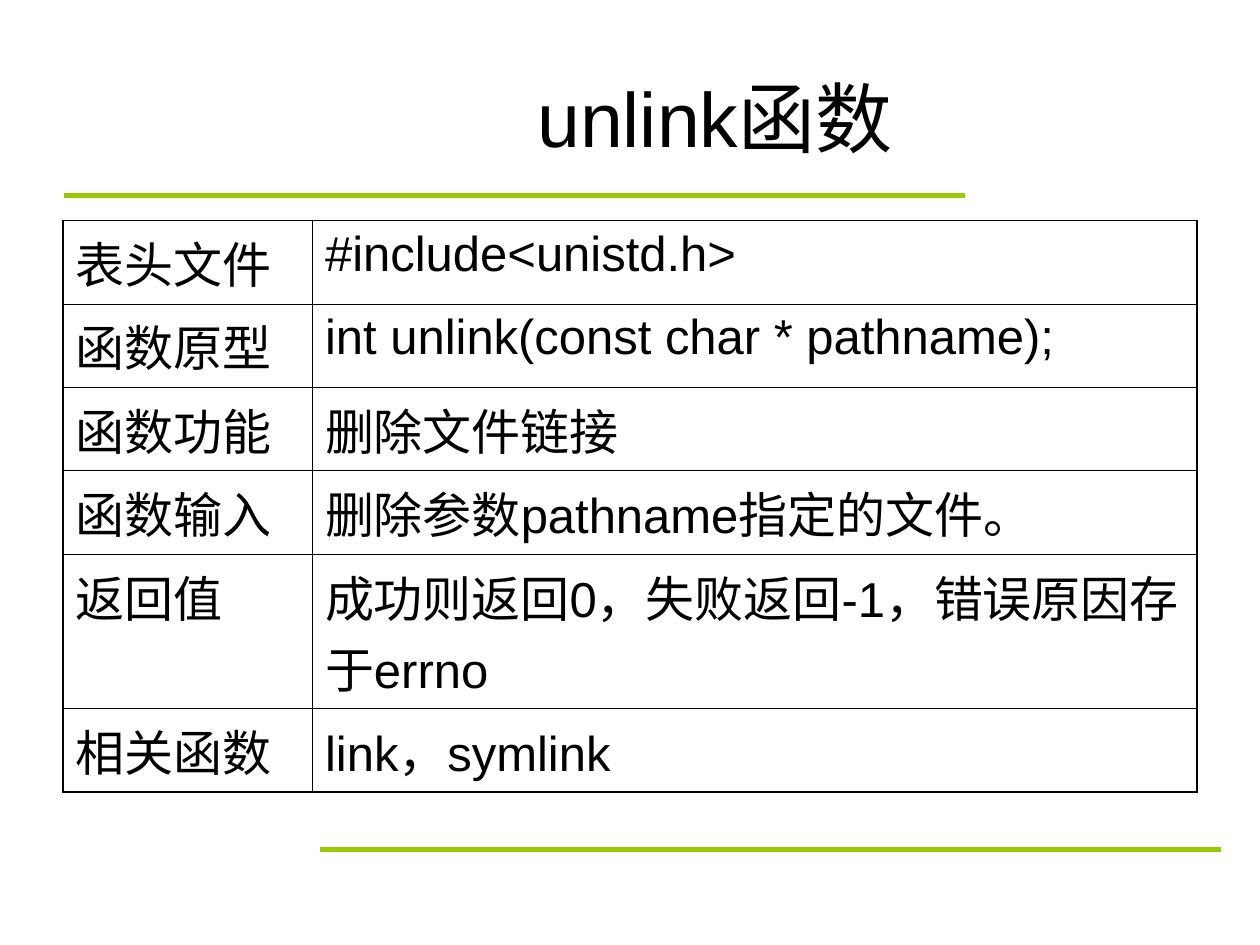
from lxml import etree
from pptx import Presentation
from pptx import util as u
from pptx.dml.color import RGBColor
from pptx.enum import shapes, text
from pptx.oxml import ns

BLACK = RGBColor(0x00, 0x00, 0x00)
WHITE = RGBColor(0xFF, 0xFF, 0xFF)
GREEN = RGBColor(0x99, 0xCC, 0x00)

THIN, THICK = u.Pt(0.45), u.Pt(1.08)

COLUMN_WIDTHS = [1.98, 7.02]
ROW_HEIGHTS = [0.66, 0.66, 0.66, 0.66, 1.21, 0.66]
ROWS = [
    ("表头文件", "#include<unistd.h>"),
    ("函数原型", "int unlink(const char * pathname);"),
    ("函数功能", "删除文件链接"),
    ("函数输入", "删除参数pathname指定的文件。"),
    ("返回值", "成功则返回0，失败返回-1，错误原因存于errno"),
    ("相关函数", "link，symlink"),
]


class SlideBuilder:
    """Holds the style and the current slide."""

    font_name = "Arial"
    title_size = u.Pt(44)
    body_size = u.Pt(28)

    def __init__(self, slide):
        self.slide = slide

    def style(self, paragraph, size):
        paragraph.font.name = self.font_name
        paragraph.font.size = size
        paragraph.font.color.rgb = BLACK

    def rule(self, left, top, width):
        start, end, height = u.Inches(left), u.Inches(left + width), u.Inches(top)
        line = self.slide.shapes.add_connector(
            shapes.MSO_CONNECTOR.STRAIGHT, start, height, end, height)
        line.line.color.rgb = GREEN
        line.line.width = u.Pt(3)
        etree.SubElement(line._element.spPr, ns.qn("a:effectLst"))

    def title(self, wording, left, top, width, height):
        shape = self.slide.shapes.title
        shape.left, shape.top = u.Inches(left), u.Inches(top)
        shape.width, shape.height = u.Inches(width), u.Inches(height)
        frame = shape.text_frame
        frame.text = wording
        frame.vertical_anchor = text.MSO_ANCHOR.MIDDLE
        paragraph = frame.paragraphs[0]
        paragraph.alignment = text.PP_ALIGN.CENTER
        self.style(paragraph, self.title_size)

    def border(self, cell, side, width):
        line = etree.SubElement(
            cell._tc.get_or_add_tcPr(), ns.qn(f"a:ln{side}"), w=str(int(width)))
        fill = etree.SubElement(line, ns.qn("a:solidFill"))
        etree.SubElement(fill, ns.qn("a:srgbClr"), val=str(BLACK))

    def cell(self, cell, wording, outer_sides):
        cell.text = wording
        cell.margin_left = cell.margin_right = u.Inches(0.1)
        cell.margin_top = cell.margin_bottom = u.Inches(0.05)
        paragraph = cell.text_frame.paragraphs[0]
        paragraph.space_before = u.Pt(7)
        self.style(paragraph, self.body_size)
        for side in "LRTB":
            self.border(cell, side, THICK if side in outer_sides else THIN)
        # The fill follows the borders in the cell's XML
        cell.fill.solid()
        cell.fill.fore_color.rgb = WHITE

    def table(self, rows, left, top, column_widths, row_heights):
        table = self.slide.shapes.add_table(
            len(rows), len(column_widths), u.Inches(left), u.Inches(top),
            u.Inches(sum(column_widths)), u.Inches(sum(row_heights))).table
        table.first_row = table.horz_banding = False
        for column, width in zip(table.columns, column_widths):
            column.width = u.Inches(width)
        for row, height in zip(table.rows, row_heights):
            row.height = u.Inches(height)
        for i, row in enumerate(rows):
            vertical = {0: "T", len(rows) - 1: "B"}.get(i, "")
            for j, wording in enumerate(row):
                horizontal = {0: "L", len(row) - 1: "R"}.get(j, "")
                self.cell(table.cell(i, j), wording, vertical + horizontal)


def main():
    presentation = Presentation()
    presentation.slide_width = u.Inches(10)
    presentation.slide_height = u.Inches(7.5)
    title_only = presentation.slide_layouts[5]
    builder = SlideBuilder(presentation.slides.add_slide(title_only))

    # Green rules above and below the table
    builder.rule(0.51, 1.55, 7.15)
    builder.rule(2.54, 6.74, 7.15)

    # Title
    builder.title("unlink函数", 1.85, 0.3, 7.65, 1.25)

    # Function reference table
    builder.table(ROWS, 0.5, 1.75, COLUMN_WIDTHS, ROW_HEIGHTS)

    presentation.save("out.pptx")


if __name__ == "__main__":
    main()
